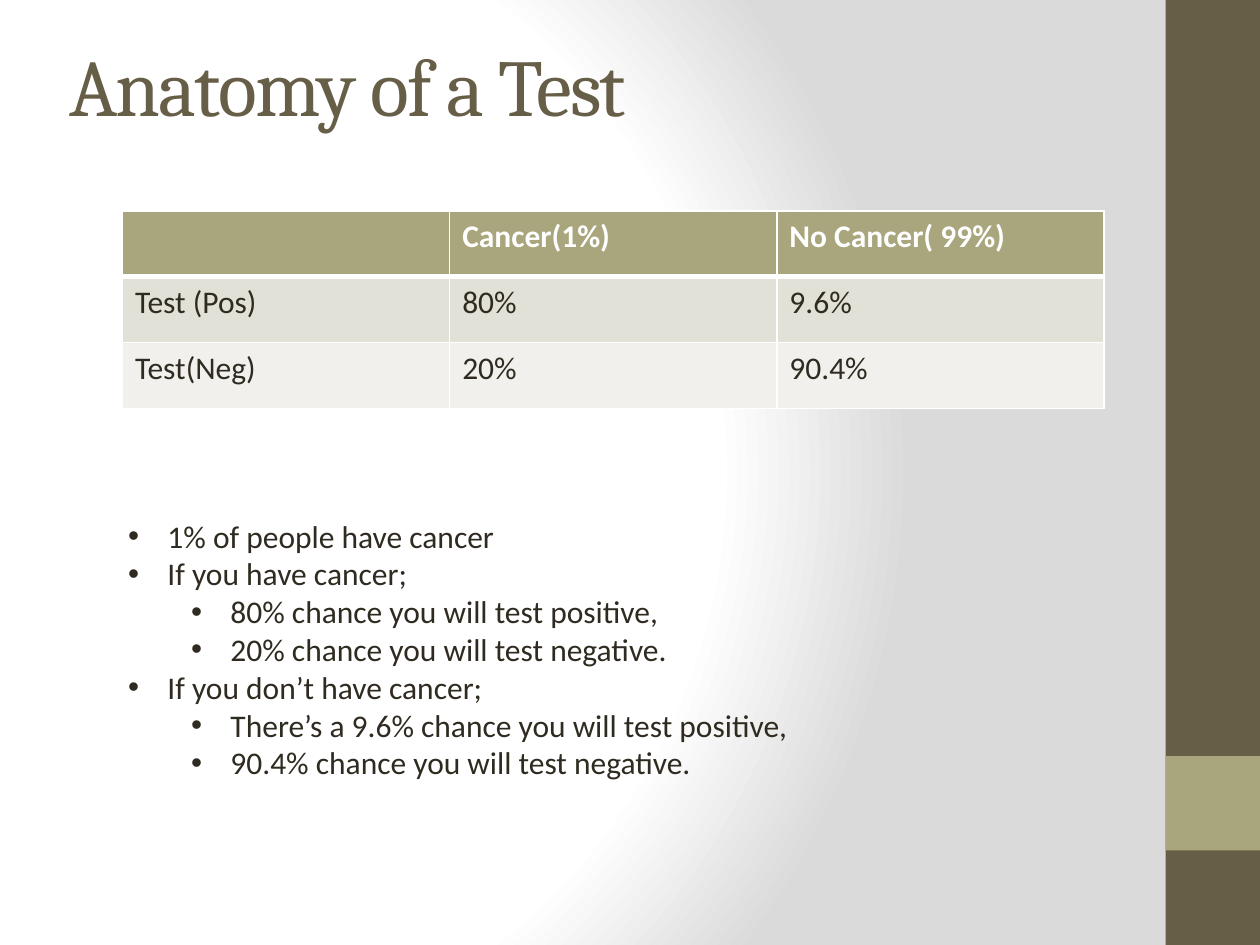
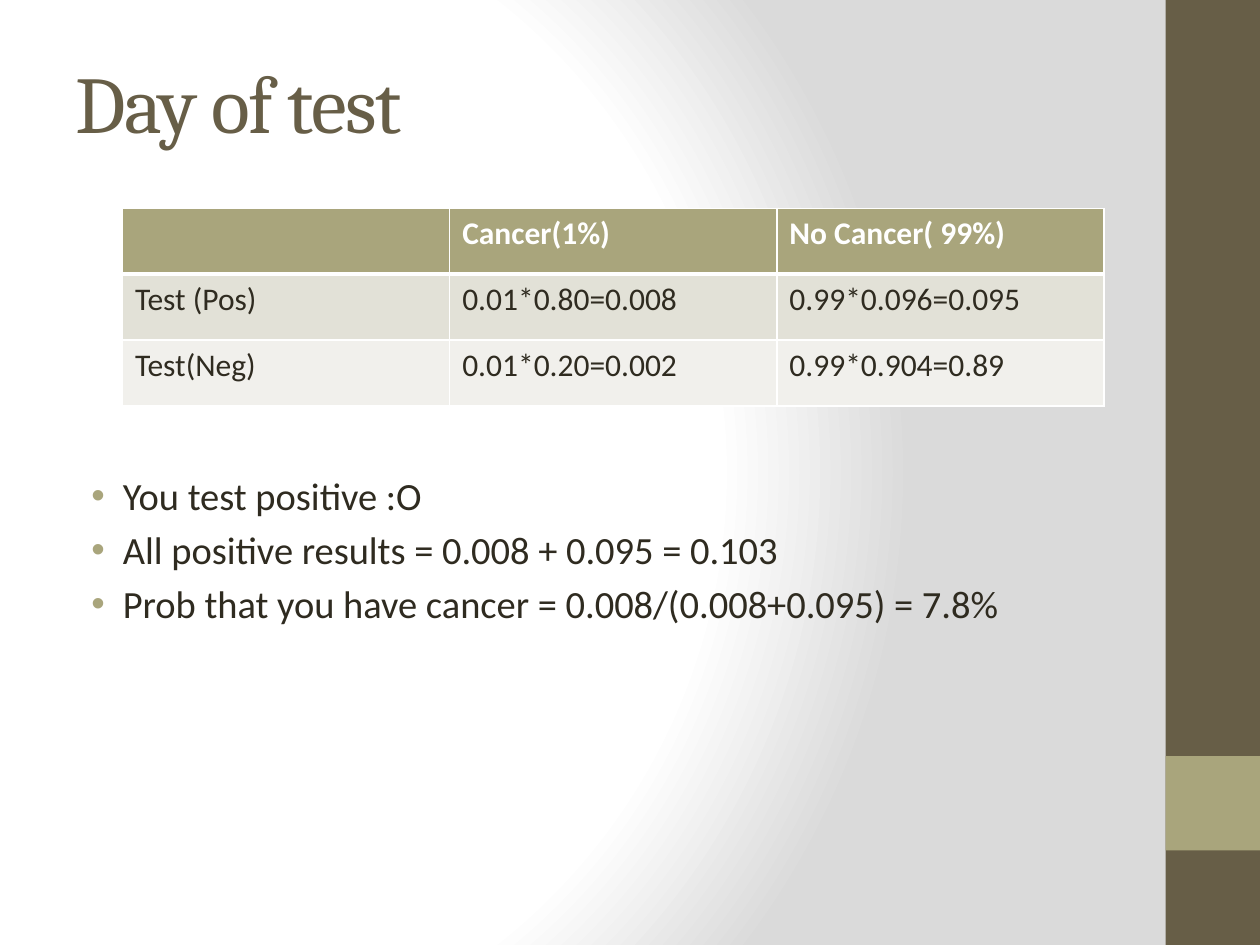
from lxml import etree
from pptx import Presentation
from pptx.dml.color import RGBColor
from pptx.enum.shapes import MSO_SHAPE
from pptx.enum.text import MSO_ANCHOR, MSO_AUTO_SIZE, PP_ALIGN
from pptx.oxml import parse_xml
from pptx.oxml.ns import nsdecls, qn
from pptx.util import Pt

# Shared colours and fonts
BROWN = RGBColor(0x67, 0x5E, 0x47)
OLIVE = RGBColor(0xA9, 0xA5, 0x7C)
INK = RGBColor(0x2F, 0x2B, 0x20)
WHITE = RGBColor(0xFF, 0xFF, 0xFF)
GREY = RGBColor(0xDA, 0xDA, 0xDA)
ROW_FILLS = [OLIVE, RGBColor(0xE2, 0xE1, 0xD7), RGBColor(0xF1, 0xF0, 0xEC)]
TITLE_FONT, BODY_FONT = "Cambria", "Calibri"
COL_W, ROW_H = 187, 37.7


class Deck:
    def __init__(self):
        self.prs = Presentation()
        self.prs.slide_width, self.prs.slide_height = Pt(720), Pt(540)
        self.slide = None
        self.background()

    def background(self):
        """Put the radial gradient on the master."""
        stops = "".join(
            f'<a:gs pos="{pos * 1000}"><a:srgbClr val="{color}"/></a:gs>'
            for pos, color in [(0, WHITE), (75, WHITE), (100, GREY)])
        bg = parse_xml(
            f'<p:bg {nsdecls("p", "a")}><p:bgPr><a:gradFill rotWithShape="1">'
            f'<a:gsLst>{stops}</a:gsLst><a:path path="circle">'
            '<a:fillToRect l="20000" t="50000" r="100000" b="50000"/></a:path>'
            '</a:gradFill><a:effectLst/></p:bgPr></p:bg>')
        c_sld = self.prs.slide_master.element.cSld
        for old in c_sld.findall(qn("p:bg")):
            c_sld.remove(old)
        c_sld.insert(0, bg)

    def add_slide(self, title, left, top, width):
        self.slide = self.prs.slides.add_slide(self.prs.slide_layouts[1])
        self.band(0, 540, BROWN)
        self.band(432, 54, OLIVE)
        sp = self.slide.shapes.title
        self.place(sp, left, top, width, 90)
        tf = sp.text_frame
        tf.vertical_anchor = MSO_ANCHOR.MIDDLE
        tf.auto_size = MSO_AUTO_SIZE.NONE
        p = tf.paragraphs[0]
        p.alignment = PP_ALIGN.LEFT
        r = self.run(p, title, 46, BROWN, TITLE_FONT)
        r.font._element.set("spc", "-100")

    def band(self, top, height, color):
        """Draw one block of the side band behind everything else."""
        shapes = self.slide.shapes
        sp = shapes.add_shape(MSO_SHAPE.RECTANGLE, Pt(666), Pt(top), Pt(54), Pt(height))
        sp.shadow.inherit = False
        sp.fill.solid()
        sp.fill.fore_color.rgb = color
        sp.line.fill.background()
        shapes.title._element.addprevious(sp._element)

    def place(self, sp, left, top, width, height):
        sp.left, sp.top, sp.width, sp.height = map(Pt, (left, top, width, height))

    def run(self, p, text, size, color, font=BODY_FONT, bold=False):
        r = p.add_run()
        r.text = text
        r.font.size, r.font.name, r.font.bold = Pt(size), font, bold
        r.font.color.rgb = color
        return r

    def bullets(self, box, items, size, indents, hang, bullet_color=INK, space=None):
        """Fill the body placeholder with (level, text) items."""
        sp = self.slide.placeholders[1]
        self.place(sp, *box)
        tf = sp.text_frame
        tf.auto_size = MSO_AUTO_SIZE.NONE
        for i, (level, text) in enumerate(items):
            p = tf.add_paragraph() if i else tf.paragraphs[0]
            p.level = level
            if space is not None:
                p.space_before = Pt(space)
            pPr = p._p.get_or_add_pPr()
            pPr.set("marL", str(Pt(indents[level])))
            pPr.set("indent", str(-Pt(hang)))
            color = etree.SubElement(pPr, qn("a:buClr"))
            etree.SubElement(color, qn("a:srgbClr"), val=str(bullet_color))
            etree.SubElement(pPr, qn("a:buFont"), typeface="Arial")
            etree.SubElement(pPr, qn("a:buChar"), char="•")
            self.run(p, text, size, INK)

    def table(self, top, rows):
        n_rows, n_cols = len(rows), len(rows[0])
        table = self.slide.shapes.add_table(
            n_rows, n_cols, Pt(70), Pt(top), Pt(COL_W * n_cols), Pt(ROW_H * n_rows)).table
        for col in table.columns:
            col.width = Pt(COL_W)
        for i, row in enumerate(rows):
            table.rows[i].height = Pt(ROW_H)
            for j, text in enumerate(row):
                cell = table.cell(i, j)
                # A thick rule separates the header from the body
                self.borders(cell, L=1, R=1, T=3 if i == 1 else 1, B=3 if i == 0 else 1)
                cell.fill.solid()
                cell.fill.fore_color.rgb = ROW_FILLS[i]
                if text:
                    self.run(cell.text_frame.paragraphs[0], text, 18,
                             INK if i else WHITE, bold=i == 0)

    def borders(self, cell, **widths):
        tcPr = cell._tc.get_or_add_tcPr()
        for side, width in widths.items():
            ln = etree.SubElement(tcPr, qn(f"a:ln{side}"), w=str(Pt(width)))
            fill = etree.SubElement(ln, qn("a:solidFill"))
            etree.SubElement(fill, qn("a:srgbClr"), val=str(WHITE))


def test_rows(positive, negative):
    return [["", "Cancer(1%)", "No Cancer( 99%)"],
            ["Test (Pos)", *positive],
            ["Test(Neg)", *negative]]


def main():
    deck = Deck()

    # Slide 1: test accuracy
    deck.add_slide("Anatomy of a Test", 32.4, 3, 665)
    deck.bullets((66, 291.6, 561, 181.4), [
        (0, "1% of people have cancer"),
        (0, "If you have cancer;"),
        (1, "80% chance you will test positive,"),
        (1, "20% chance you will test negative."),
        (0, "If you don’t have cancer;"),
        (1, "There’s a 9.6% chance you will test positive,"),
        (1, "90.4% chance you will test negative."),
    ], 18, indents=(22.5, 58.5), hang=22.5, space=0)
    deck.table(120.5, test_rows(["80%", "9.6%"], ["20%", "90.4%"]))

    # Slide 2: joint probabilities
    deck.add_slide("Day of test", 36, 13, 648)
    deck.bullets((36, 266.4, 648, 194.4), [
        (0, "You test positive :O"),
        (0, "All positive results = 0.008 + 0.095 = 0.103"),
        (0, "Prob that you have cancer = 0.008/(0.008+0.095) = 7.8%"),
    ], 22, indents=(27,), hang=18, bullet_color=OLIVE)
    deck.table(119, test_rows(["0.01*0.80=0.008", "0.99*0.096=0.095"],
                              ["0.01*0.20=0.002", "0.99*0.904=0.89"]))

    deck.prs.save("out.pptx")


if __name__ == "__main__":
    main()
